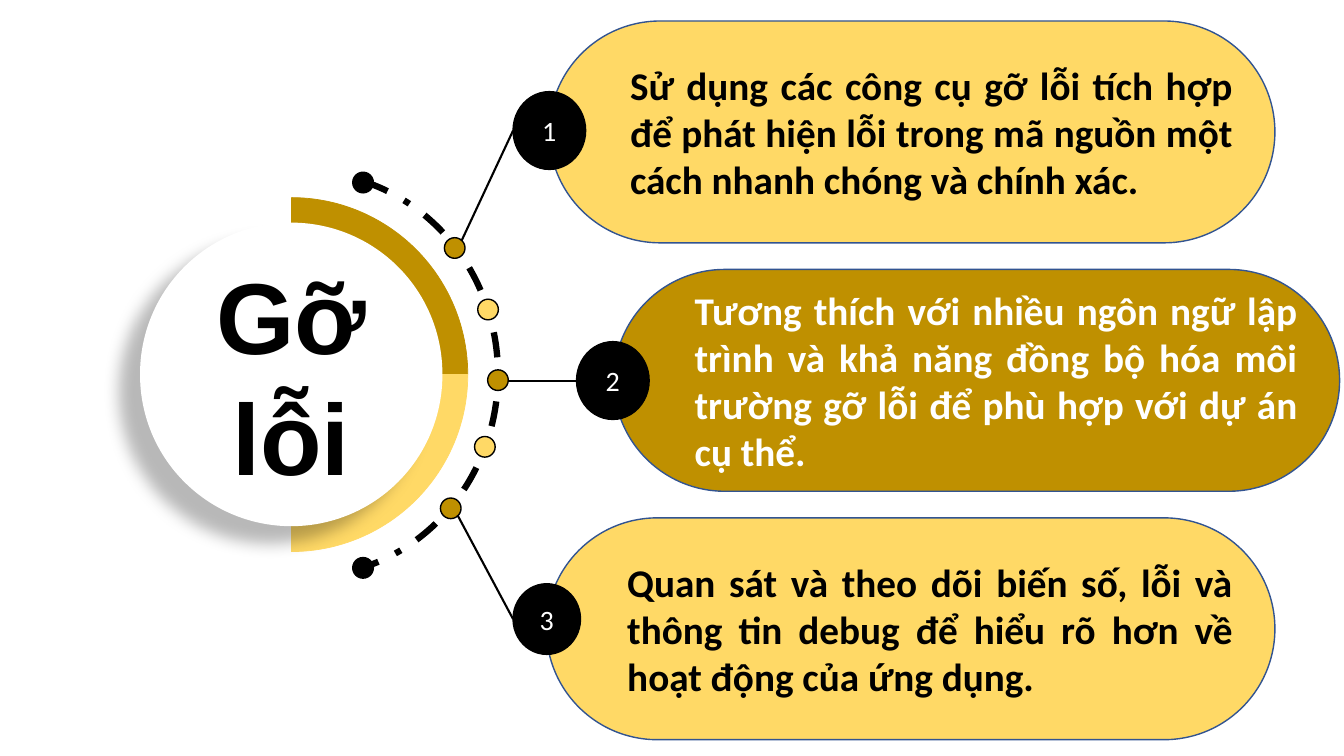
import dataclasses
import typing

import lxml.etree
import pptx
import pptx.dml.color
import pptx.enum.dml
import pptx.enum.shapes
import pptx.enum.text
import pptx.oxml.ns
import pptx.util

Cm = pptx.util.Cm
Pt = pptx.util.Pt
qn = pptx.oxml.ns.qn
Kind = pptx.enum.shapes.MSO_SHAPE
Align = pptx.enum.text.PP_ALIGN


@dataclasses.dataclass(frozen=True)
class Theme:
    gold: str = "BF9000"
    sand: str = "FFD966"
    black: str = "000000"
    white: str = "FFFFFF"
    edge: str = "325491"
    title: int = 72
    body: int = 28
    badge: int = 20
    head: str = "Arial"
    font: str = "Calibri"


class Box(typing.NamedTuple):
    left: float
    top: float
    width: float
    height: float


class Dot(typing.NamedTuple):
    left: float
    top: float
    fill: str


class Item(typing.NamedTuple):
    words: str
    fill: str
    ink: str
    left: float
    width: float
    badge: Box
    start: tuple[float, float]


THEME = Theme()
RIGHT = 270 * 0.6
RING = Box(2.9, 4.98, 8.89, 8.92)
DISC = Box(3.53, 5.61, 7.62, 7.65)
TRACK = Box(2.9, 4.34, 9.65, 10.19)
DOT = 0.52
PILL_TOP, PILL_STEP, PILL_HIGH = 0.53, 6.26, 5.59

DOTS = [
    Dot(12.29, 9.32, THEME.gold),
    Dot(12.04, 7.54, THEME.sand),
    Dot(11.2, 5.99, THEME.gold),
    Dot(11.96, 11, THEME.sand),
    Dot(11.1, 12.55, THEME.gold),
    Dot(8.89, 4.34, THEME.black),
    Dot(8.89, 14.05, THEME.black),
]

ITEMS = [
    Item("Sử dụng các công cụ gỡ lỗi tích hợp để phát hiện lỗi trong mã nguồn "
         "một cách nhanh chóng và chính xác.",
         THEME.sand, THEME.black, 13.84, 18.29,
         Box(12.93, 2.31, 1.83, 1.96), (11.63, 6.07)),
    Item("Tương thích với nhiều ngôn ngữ lập trình và khả năng đồng bộ hóa môi "
         "trường gỡ lỗi để phù hợp với dự án cụ thể.",
         THEME.gold, THEME.white, 15.47, 18.29,
         Box(14.53, 8.61, 1.83, 1.96), (12.8, 9.59)),
    Item("Quan sát và theo dõi biến số, lỗi và thông tin debug để hiểu rõ hơn "
         "về hoạt động của ứng dụng.",
         THEME.sand, THEME.black, 13.77, 18.36,
         Box(12.93, 14.71, 1.7, 1.78), (11.53, 12.98)),
]

deck = pptx.Presentation()
deck.slide_width, deck.slide_height = Cm(33.87), Cm(19.05)
slide = deck.slides.add_slide(deck.slide_layouts[6])


def tint(code: str) -> pptx.dml.color.RGBColor:
    return pptx.dml.color.RGBColor.from_string(code)


def draw(kind, box: Box, fill: str | None = None, line: str | None = None,
         weight: float = 1, adjust: tuple = ()):
    shape = slide.shapes.add_shape(kind, *map(Cm, box))
    shape.shadow.inherit = False
    if fill:
        shape.fill.solid()
        shape.fill.fore_color.rgb = tint(fill)
    else:
        shape.fill.background()
    if line:
        shape.line.color.rgb = tint(line)
        shape.line.width = Pt(weight)
    else:
        shape.line.fill.background()
    for i, value in enumerate(adjust):
        shape.adjustments[i] = value
    return shape


def link(start: tuple, end: tuple, color: str, weight: float) -> None:
    line = slide.shapes.add_connector(
        pptx.enum.shapes.MSO_CONNECTOR.STRAIGHT, *map(Cm, (*start, *end)))
    line.line.color.rgb = tint(color)
    line.line.width = Pt(weight)
    lxml.etree.SubElement(line._element.spPr, qn("a:effectLst"))


def write(shape, words: str, *, size: int, color: str, font: str = THEME.font,
          bold: bool = False, align=Align.CENTER, indent: float = 0) -> None:
    frame = shape.text_frame
    frame.word_wrap = True
    frame.vertical_anchor = pptx.enum.text.MSO_ANCHOR.MIDDLE
    para = frame.paragraphs[0]
    para.alignment = align
    if indent:
        para._p.get_or_add_pPr().set("marL", str(int(Cm(indent))))
    run = para.add_run()
    run.text = words
    run.font.name = font
    run.font.size = Pt(size)
    run.font.bold = bold
    run.font.color.rgb = tint(color)


def shade(shape, alpha: int, blur: float, dist: float, angle: int) -> None:
    effects = shape._element.spPr.find(qn("a:effectLst"))
    outer = lxml.etree.SubElement(
        effects, qn("a:outerShdw"), blurRad=str(int(Pt(blur))),
        dist=str(int(Pt(dist))), dir=str(angle * 60000), algn="ctr", rotWithShape="0")
    color = lxml.etree.SubElement(outer, qn("a:srgbClr"), val=THEME.black)
    lxml.etree.SubElement(color, qn("a:alpha"), val=str(alpha * 1000))


def ring() -> None:
    mid = (RING.left + RING.width / 2, RING.top + RING.height / 2)
    side = (RING.left + RING.width, mid[1])
    for color, first, last, edge in (
            (THEME.gold, RIGHT, 216, RING.top),
            (THEME.sand, 0, 54, RING.top + RING.height)):
        draw(Kind.ARC, RING, color, color, 0.5, (first, last))
        link((mid[0], edge), mid, color, 0.5)
        link(mid, side, color, 0.5)


def entry(i: int, item: Item) -> None:
    badge = item.badge
    link(item.start, (badge.left, badge.top + badge.height / 2), THEME.black, 1.5)
    box = Box(item.left, PILL_TOP + i * PILL_STEP, item.width, PILL_HIGH)
    pill = draw(Kind.ROUNDED_RECTANGLE, box, item.fill, THEME.edge, adjust=(0.5,))
    write(pill, item.words, size=THEME.body, color=item.ink, bold=True,
          align=Align.JUSTIFY, indent=0.97)
    mark = draw(Kind.OVAL, badge, THEME.black, THEME.black)
    write(mark, str(i + 1), size=THEME.badge, color=THEME.white)


ring()
disc = draw(Kind.ROUNDED_RECTANGLE, DISC, THEME.white, adjust=(0.5,))
shade(disc, 28, 11.8, 19.7, 141)
write(disc, "Gỡ lỗi", size=THEME.title, color=THEME.black, font=THEME.head, bold=True)

track = draw(Kind.ARC, TRACK, line=THEME.black, weight=4.5, adjust=(172, 48.17))
track.line.dash_style = pptx.enum.dml.MSO_LINE.DASH_DOT

for dot in DOTS:
    draw(Kind.OVAL, Box(dot.left, dot.top, DOT, DOT), dot.fill, THEME.black)

for i, item in enumerate(ITEMS):
    entry(i, item)

deck.save("out.pptx")
